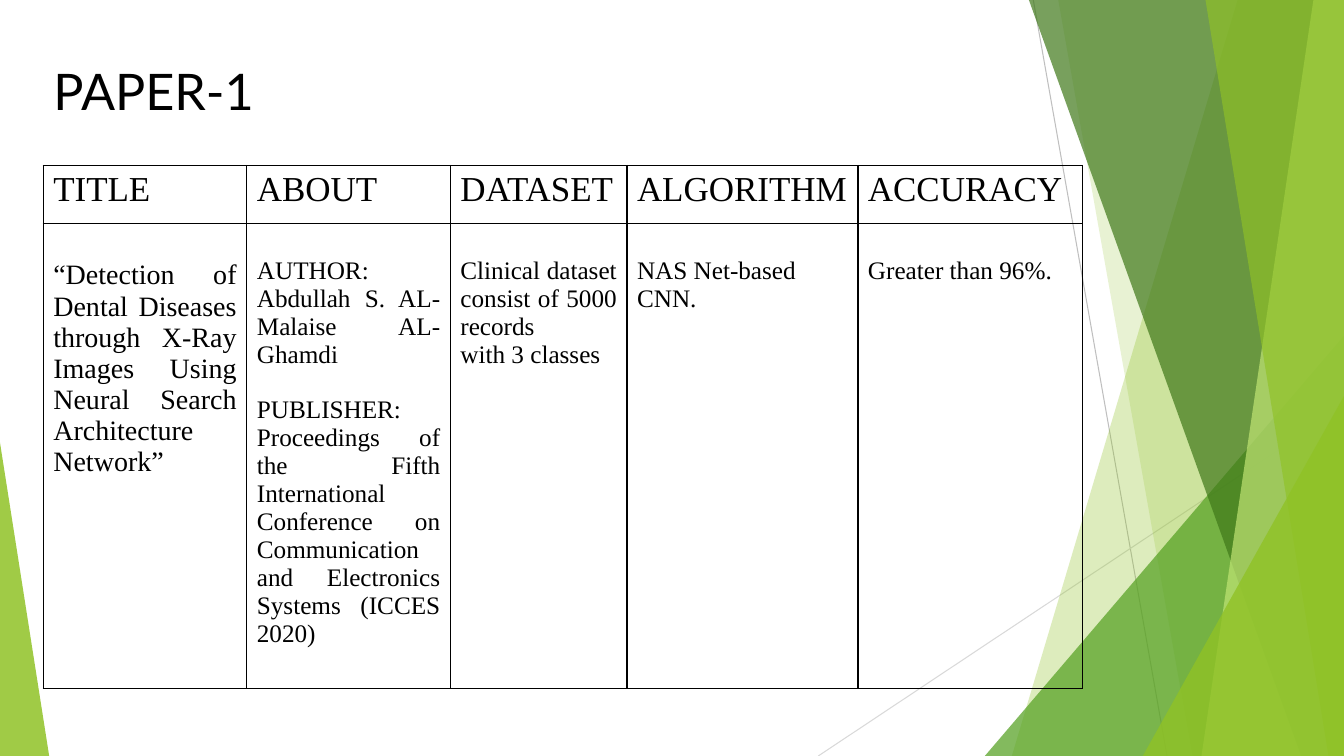
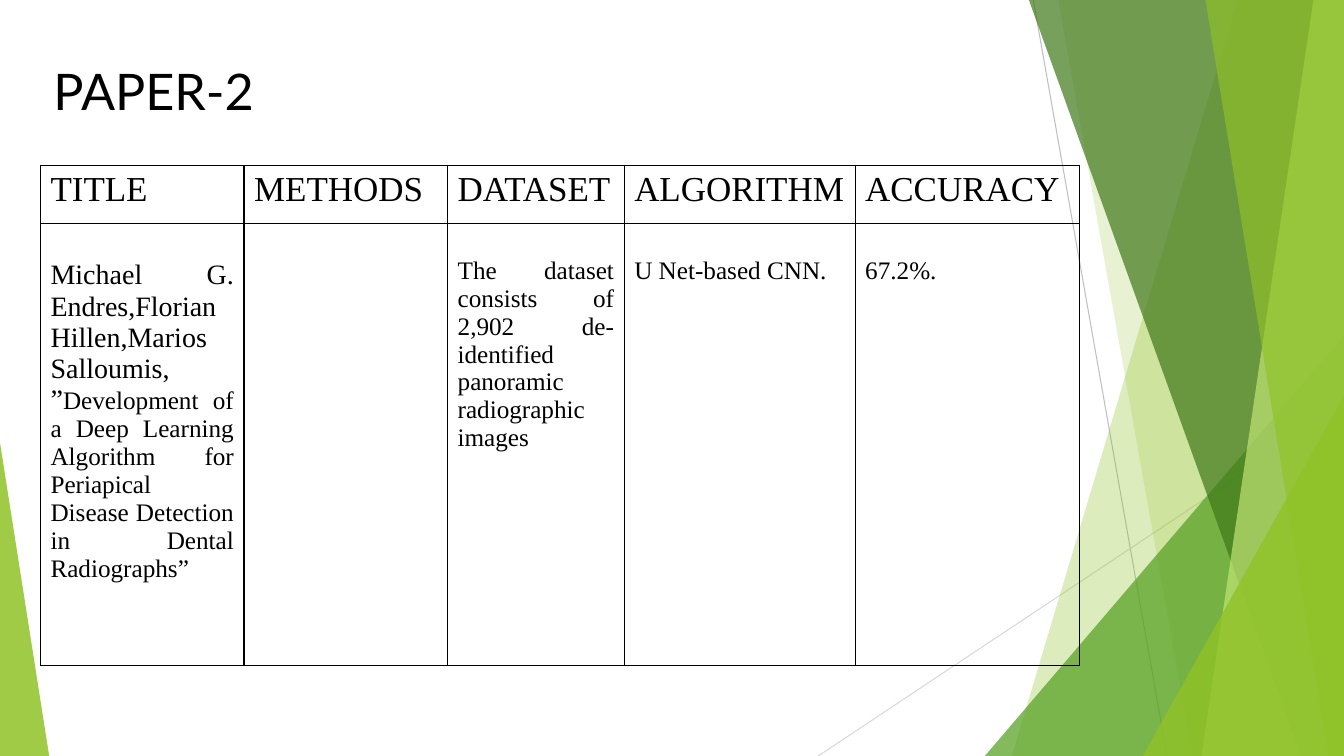
from dataclasses import dataclass

from lxml.etree import SubElement
from pptx import Presentation
from pptx.dml.color import RGBColor
from pptx.enum.shapes import MSO_CONNECTOR, MSO_SHAPE
from pptx.enum.text import MSO_ANCHOR, PP_ALIGN
from pptx.oxml.ns import qn
from pptx.util import Cm, Pt

BLACK = RGBColor(0x00, 0x00, 0x00)
GREY = RGBColor(0xBF, 0xBF, 0xBF)
LIGHT_GREY = RGBColor(0xD9, 0xD9, 0xD9)
LIME = RGBColor(0x90, 0xC2, 0x26)
GREEN = RGBColor(0x54, 0xA0, 0x21)
DARK_GREEN = RGBColor(0x3F, 0x78, 0x19)
PALE_LIME = RGBColor(0xC0, 0xE4, 0x74)

TITLE_FONT = "Lato"
TABLE_FONT = "Times New Roman"
WIDTH, HEIGHT = 33.87, 19.05
TITLE_ONLY = 5
COLUMN_WIDTHS = (5.13, 5.13, 4.45, 5.82, 5.66)
HEADER_HEIGHT = 1.47


@dataclass
class Body:
    """Content of a body cell; a paragraph is a text or a tuple of (text, size) runs."""
    paragraphs: tuple = ()
    size: int = 18
    align: PP_ALIGN = PP_ALIGN.JUSTIFY
    gap: int = 0

    @property
    def top_margin(self):
        """Cell inset plus one line of the text size, in centimetres."""
        return 0.13 + 0.039 * self.size


def write(paragraph, text, *, size, font=TABLE_FONT, color=BLACK, align=PP_ALIGN.LEFT):
    paragraph.alignment = align
    run = paragraph.add_run()
    run.text = text
    run.font.size = Pt(size)
    run.font.name = font
    run.font.color.rgb = color


def set_borders(cell, color=BLACK, width=1):
    properties = cell._tc.get_or_add_tcPr()
    for side in ("lnL", "lnR", "lnT", "lnB"):
        line = SubElement(properties, qn(f"a:{side}"), w=str(Pt(width)))
        fill = SubElement(line, qn("a:solidFill"))
        SubElement(fill, qn("a:srgbClr"), val=str(color))


class Deck:
    def __init__(self):
        self.presentation = Presentation()
        self.presentation.slide_width = Cm(WIDTH)
        self.presentation.slide_height = Cm(HEIGHT)
        self.slide = None

    def add_slide(self, title):
        layout = self.presentation.slide_layouts[TITLE_ONLY]
        self.slide = self.presentation.slides.add_slide(layout)
        self.add_facets()
        self.set_title(title)

    def set_title(self, text):
        placeholder = self.slide.shapes.title
        placeholder.left, placeholder.top = Cm(1.09), Cm(1.4)
        placeholder.width, placeholder.height = Cm(6.7), Cm(1.8)
        frame = placeholder.text_frame
        frame.vertical_anchor = MSO_ANCHOR.TOP
        write(frame.paragraphs[0], text, size=36, font=TITLE_FONT)

    def add_facets(self):
        """Draw the green facets and thin lines behind every slide."""
        self.add_line((26.04, 0), (29.41, HEIGHT), GREY)
        self.add_line((WIDTH, 10.24), (20.62, HEIGHT), LIGHT_GREY)
        self.add_panel(31.19, 25.5, LIME, 30)
        self.add_panel(26.67, 30.05, LIME, 20)
        self.add_triangle(24.82, 8.46, WIDTH, GREEN, 72, apex=1)
        self.add_panel(25.93, 32.79, DARK_GREEN, 70)
        self.add_panel(33.1, 30.28, PALE_LIME, 70)
        self.add_panel(30.38, 33.48, LIME, 65)
        self.add_triangle(28.8, 9.98, WIDTH, LIME, 80, apex=1)
        self.add_triangle(0, 11.15, 1.24, LIME, 85, apex=0)

    def add_line(self, start, end, color):
        points = [Cm(value) for value in (*start, *end)]
        line = self.slide.shapes.add_connector(MSO_CONNECTOR.STRAIGHT, *points)
        line.line.color.rgb = color
        line.line.width = Pt(0.75)
        SubElement(line.element.spPr, qn("a:effectLst"))

    def add_panel(self, top_x, bottom_x, color, opacity):
        """Add a full-height panel from a slanted left edge to the right slide edge."""
        builder = self.slide.shapes.build_freeform(Cm(top_x), 0)
        corners = ((WIDTH, 0), (WIDTH, HEIGHT), (bottom_x, HEIGHT))
        builder.add_line_segments([(Cm(x), Cm(y)) for x, y in corners], close=True)
        self.paint(builder.convert_to_shape(), color, opacity)

    def add_triangle(self, left, top, right, color, opacity, apex):
        """Add a triangle standing on the bottom slide edge."""
        shape = self.slide.shapes.add_shape(
            MSO_SHAPE.ISOSCELES_TRIANGLE,
            Cm(left), Cm(top), Cm(right - left), Cm(HEIGHT - top))
        shape.adjustments[0] = apex
        self.paint(shape, color, opacity)

    def paint(self, shape, color, opacity):
        shape.shadow.inherit = False
        shape.line.fill.background()
        shape.fill.solid()
        shape.fill.fore_color.rgb = color
        color_element = shape.element.spPr.find(qn("a:solidFill"))[0]
        SubElement(color_element, qn("a:alpha"), val=str(opacity * 1000))

    def add_table(self, headers, bodies, *, left, body_height):
        table = self.slide.shapes.add_table(
            2, len(headers), Cm(left), Cm(4.17),
            Cm(sum(COLUMN_WIDTHS)), Cm(HEADER_HEIGHT + body_height)).table
        table.first_row = table.horz_banding = False
        for row, height in zip(table.rows, (HEADER_HEIGHT, body_height)):
            row.height = Cm(height)
        for column, width in zip(table.columns, COLUMN_WIDTHS):
            column.width = Cm(width)
        for cell in table.iter_cells():
            set_borders(cell)
            cell.fill.background()
        for index, (header, body) in enumerate(zip(headers, bodies)):
            write(table.cell(0, index).text_frame.paragraphs[0], header, size=25)
            self.fill_body(table.cell(1, index), body)

    def fill_body(self, cell, body):
        cell.margin_top = Cm(body.top_margin)
        frame = cell.text_frame
        for index, content in enumerate(body.paragraphs):
            paragraph = frame.add_paragraph() if index else frame.paragraphs[0]
            if index:
                paragraph.space_before = Pt(body.gap)
            runs = ((content, body.size),) if isinstance(content, str) else content
            for text, size in runs:
                write(paragraph, text, size=size, align=body.align)


def main():
    deck = Deck()

    deck.add_slide("PAPER-1")
    deck.add_table(
        ("TITLE", "ABOUT", "DATASET", "ALGORITHM", "ACCURACY"),
        (
            Body(("“Detection of Dental Diseases through X‐Ray Images Using "
                  "Neural Search Architecture Network”",), size=20),
            Body(("AUTHOR: Abdullah S. AL-Malaise AL-Ghamdi",
                  "PUBLISHER: Proceedings of the Fifth International Conference on "
                  "Communication and Electronics Systems (ICCES 2020)"), gap=20),
            Body(("Clinical dataset consist of 5000 records", "with 3 classes")),
            Body(("NAS Net-based CNN.",), align=PP_ALIGN.LEFT),
            Body(("Greater than 96%.",), align=PP_ALIGN.LEFT),
        ),
        left=1.09, body_height=11.7)

    deck.add_slide("PAPER-2")
    deck.add_table(
        ("TITLE", "METHODS", "DATASET", "ALGORITHM", "ACCURACY"),
        (
            Body(("Michael G. Endres,Florian Hillen,Marios Salloumis,",
                  (("”", 20),
                   ("Development of a Deep Learning Algorithm for Periapical "
                    "Disease Detection in Dental Radiographs”", 18))), size=20),
            Body(),
            Body(("The dataset consists of 2,902 de-identified panoramic "
                  "radiographic images",)),
            Body(("U Net-based CNN.",), align=PP_ALIGN.LEFT),
            Body(("67.2%.",), align=PP_ALIGN.LEFT),
        ),
        left=1.02, body_height=11.13)

    deck.presentation.save("out.pptx")


if __name__ == "__main__":
    main()
